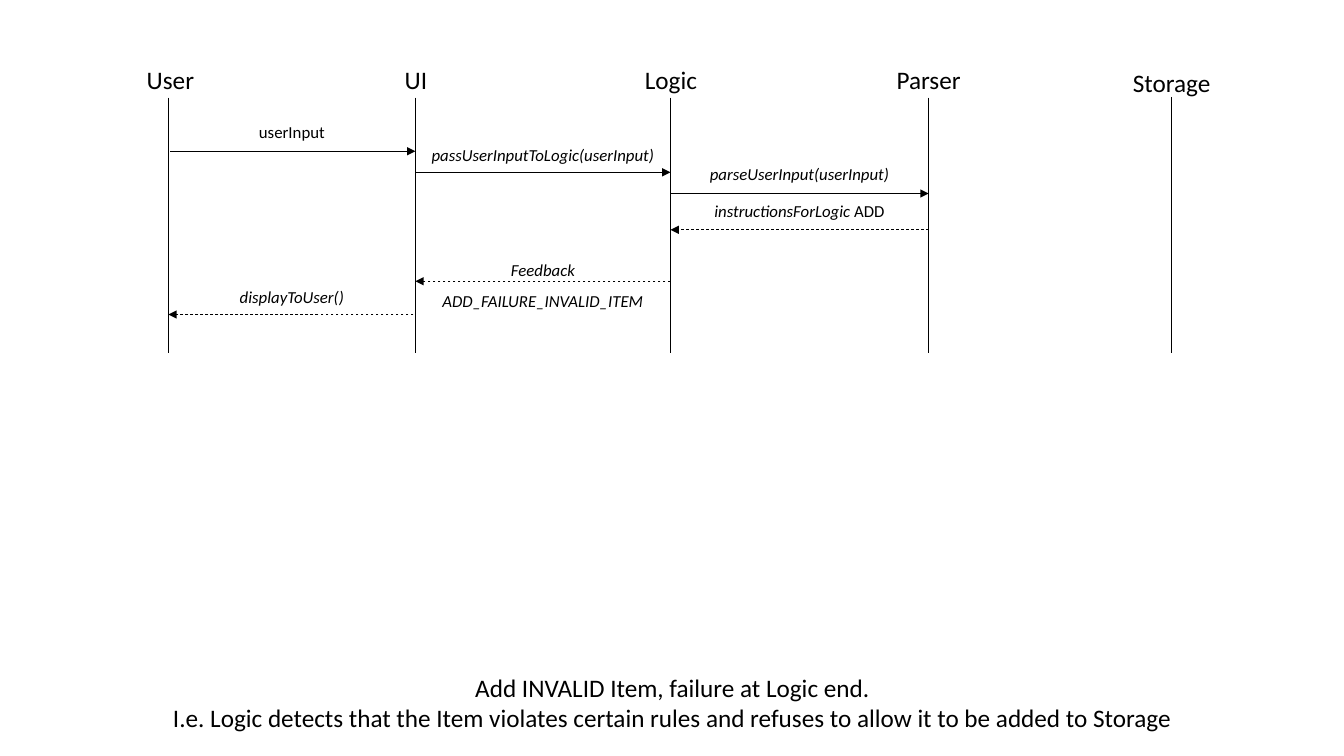
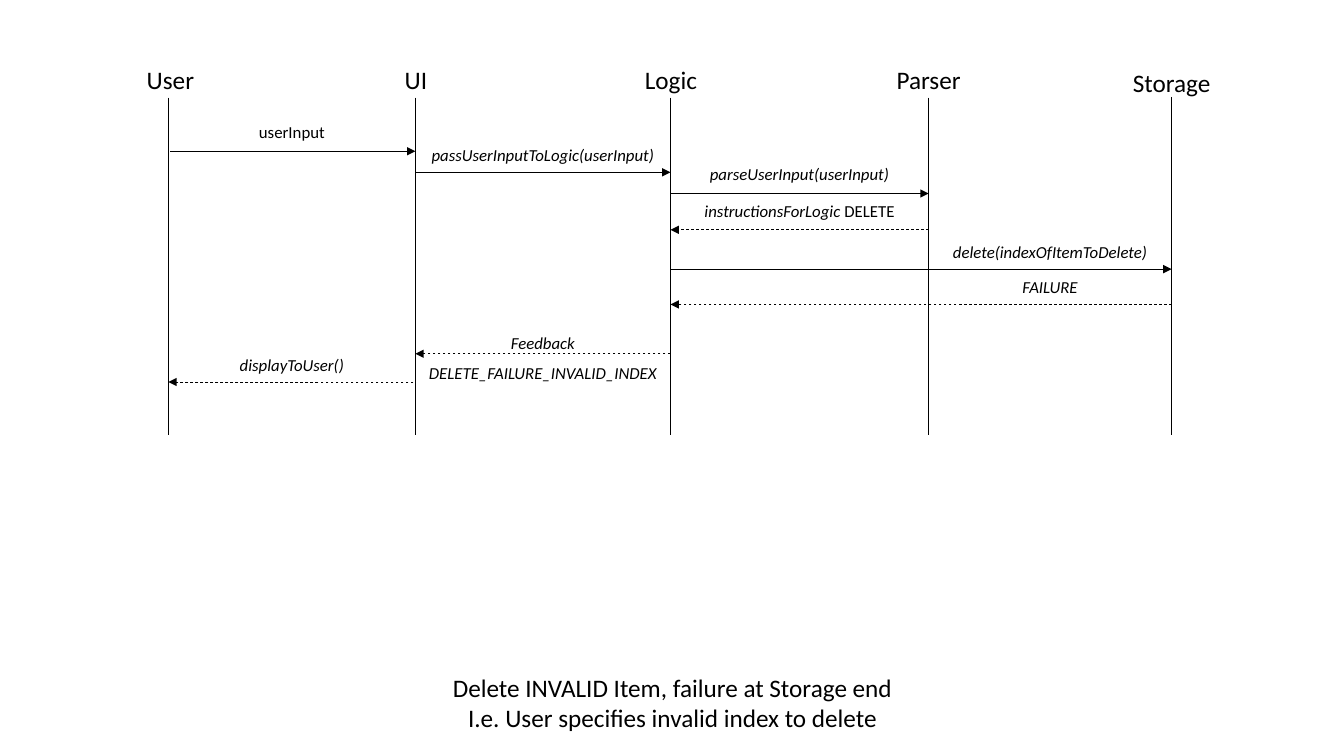
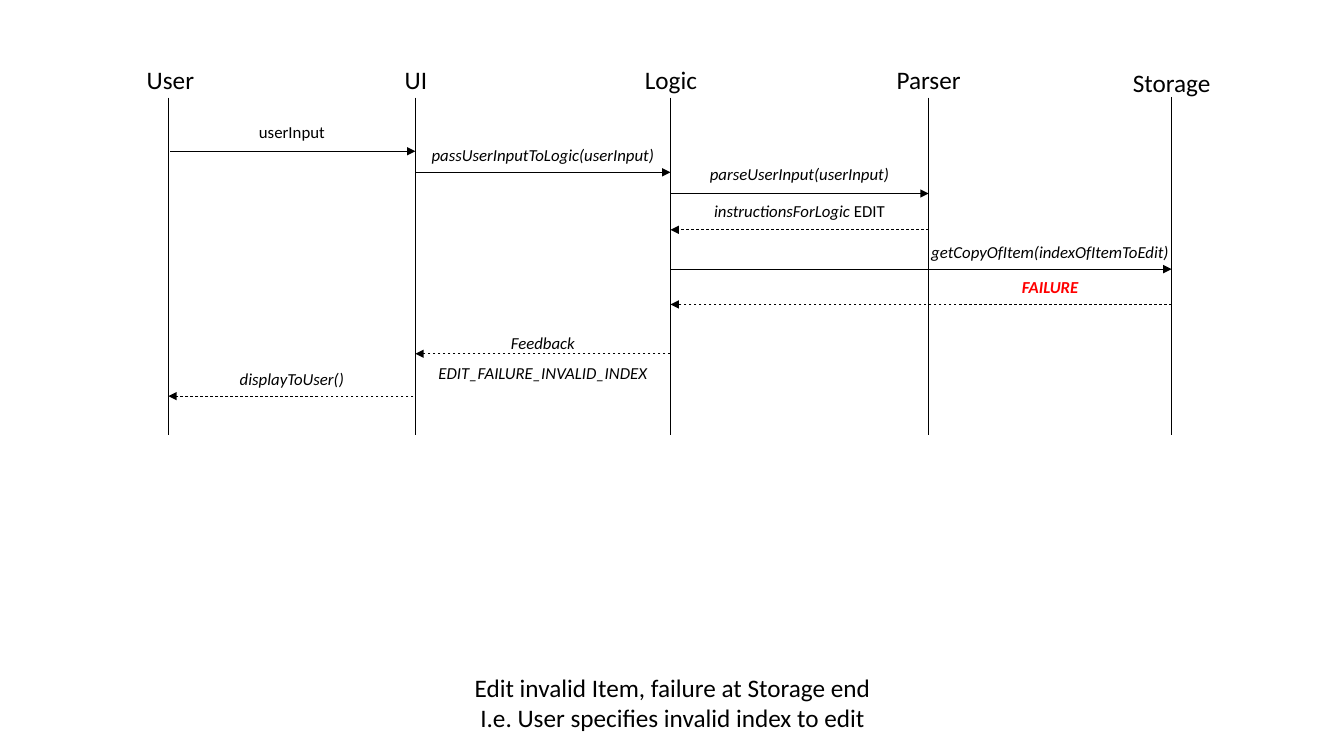
"""Build three sequence diagrams of failing add, delete and edit commands."""
import dataclasses

import pptx
import pptx.dml.color
import pptx.enum.dml
import pptx.enum.shapes
import pptx.enum.text
import pptx.oxml.ns
import pptx.util
from lxml import etree

Inches = pptx.util.Inches


@dataclasses.dataclass(frozen=True)
class Theme:
    font: str = "Calibri"
    ink: str = "000000"
    alarm: str = "FF0000"
    heading: int = 18
    label: int = 12
    line: float = 0.5


@dataclasses.dataclass(frozen=True)
class Message:
    source: str
    target: str
    y: float
    lines: tuple
    lift: float = 0.34
    height: float = 0.3
    extra: float = 0
    spacing: float = 1.0
    suffix: str = ""
    italic: bool = True
    alarm: bool = False


THEME = Theme()
WIDTH, HEIGHT = 13.33, 7.5
CAPTION_CENTER, CAPTION_TOP, CAPTION_HEIGHT = 6.67, 6.62, 0.71
HEADING_HEIGHT = 0.33
USER_GAP = 0.02

# name: (lifeline x, lifeline top, heading left, heading top, heading width)
LANES = {
    "User": (1.67, 0.97, 1.35, 0.59, 0.68),
    "UI": (4.12, 0.97, 3.91, 0.59, 0.43),
    "Logic": (6.65, 0.97, 6.29, 0.59, 0.73),
    "Parser": (9.21, 0.97, 8.79, 0.59, 0.84),
    "Storage": (11.62, 0.96, 11.13, 0.62, 0.98),
}
NAMES = list(LANES)


def request(command):
    return [
        Message("User", "UI", 1.5, ("userInput",), italic=False),
        Message("UI", "Logic", 1.71, ("passUserInputToLogic(userInput)",), lift=0.32),
        Message("Logic", "Parser", 1.92, ("parseUserInput(userInput)",)),
        Message("Parser", "Logic", 2.28, ("instructionsForLogic",), suffix=" " + command),
    ]


def storage_failure(call, extra=0, alarm=False):
    return [
        Message("Logic", "Storage", 2.67, (call,), lift=0.32, extra=extra),
        Message("Storage", "Logic", 3.02, ("FAILURE",), lift=0.32, alarm=alarm),
    ]


def response(feedback_y, feedback, display_y):
    return [
        Message("Logic", "UI", feedback_y, feedback, lift=0.36, height=0.71, spacing=1.5),
        Message("UI", "User", display_y, ("displayToUser()",), lift=0.42, height=0.37,
                spacing=1.5),
    ]


DIAGRAMS = [
    {
        "caption": ("Add INVALID Item, failure at Logic end.",
                    "I.e. Logic detects that the Item violates certain rules "
                    "and refuses to allow it to be added to Storage"),
        "caption_width": 10.14,
        "bottom": 3.5,
        "messages": request("ADD")
        + response(2.79, ("Feedback ADD_FAILURE_INVALID_ITEM",), 3.12),
    },
    {
        "caption": ("Delete INVALID Item, failure at Storage end",
                    "I.e. User specifies invalid index to delete"),
        "caption_width": 4.61,
        "bottom": 4.32,
        "messages": request("DELETE")
        + storage_failure("delete(indexOfItemToDelete)")
        + response(3.51, ("Feedback", "DELETE_FAILURE_INVALID_INDEX"), 3.79),
    },
    {
        "caption": ("Edit invalid Item, failure at Storage end",
                    "I.e. User specifies invalid index to edit"),
        "caption_width": 4.17,
        "bottom": 4.32,
        "messages": request("EDIT")
        + storage_failure("getCopyOfItem(indexOfItemToEdit)", extra=0.25, alarm=True)
        + response(3.51, ("Feedback", "EDIT_FAILURE_INVALID_INDEX"), 3.93),
    },
]


def color(value):
    return pptx.dml.color.RGBColor.from_string(value)


def add_text(s, box, lines, size, wrap=False, spacing=1.0, italic=False, alarm=False,
             suffix=""):
    tf = s.shapes.add_textbox(*map(Inches, box)).text_frame
    tf.word_wrap = wrap
    tf.auto_size = pptx.enum.text.MSO_AUTO_SIZE.SHAPE_TO_FIT_TEXT
    tf.text = "\n".join(lines)
    if suffix:
        tf.paragraphs[-1].add_run().text = suffix
    for p in tf.paragraphs:
        p.alignment = pptx.enum.text.PP_ALIGN.CENTER
        p.line_spacing = spacing
        for r in p.runs:
            r.font.name = THEME.font
            r.font.size = pptx.util.Pt(size)
            r.font.italic = italic and r.text != suffix
            r.font.bold = alarm
            r.font.color.rgb = color(THEME.alarm if alarm else THEME.ink)


def add_line(s, x1, y1, x2, y2, arrow=False, dashed=False):
    sp = s.shapes.add_connector(pptx.enum.shapes.MSO_CONNECTOR.STRAIGHT,
                                *map(Inches, (x1, y1, x2, y2)))
    sp.line.color.rgb = color(THEME.ink)
    sp.line.width = pptx.util.Pt(THEME.line)
    if dashed:
        sp.line.dash_style = pptx.enum.dml.MSO_LINE.DASH
    if arrow:
        ln = sp.line._get_or_add_ln()
        etree.SubElement(ln, pptx.oxml.ns.qn("a:tailEnd"), type="triangle")
    etree.SubElement(sp._element.spPr, pptx.oxml.ns.qn("a:effectLst"))


def add_lanes(s, bottom):
    for name, (x, line_top, left, top, width) in LANES.items():
        add_text(s, (left, top, width, HEADING_HEIGHT), [name], THEME.heading)
        add_line(s, x, line_top, x, bottom)


def add_message(s, m):
    start, end = LANES[m.source][0], LANES[m.target][0]
    reply = end < start
    if "User" in (m.source, m.target):
        start += -USER_GAP if reply else USER_GAP
    add_line(s, start, m.y, end, m.y, arrow=True, dashed=reply)
    right = max(NAMES.index(m.source), NAMES.index(m.target))
    x1, x2 = (LANES[NAMES[i]][0] for i in (right - 1, right))
    box = (x1 - m.extra / 2, m.y - m.lift, x2 - x1 + m.extra, m.height)
    add_text(s, box, m.lines, THEME.label, wrap=True, spacing=m.spacing,
             italic=m.italic, alarm=m.alarm, suffix=m.suffix)


prs = pptx.Presentation()
prs.slide_width, prs.slide_height = Inches(WIDTH), Inches(HEIGHT)
for diagram in DIAGRAMS:
    s = prs.slides.add_slide(prs.slide_layouts[6])
    add_lanes(s, diagram["bottom"])
    for message in diagram["messages"]:
        add_message(s, message)
    width = diagram["caption_width"]
    add_text(s, (CAPTION_CENTER - width / 2, CAPTION_TOP, width, CAPTION_HEIGHT),
             diagram["caption"], THEME.heading)
prs.save("out.pptx")
